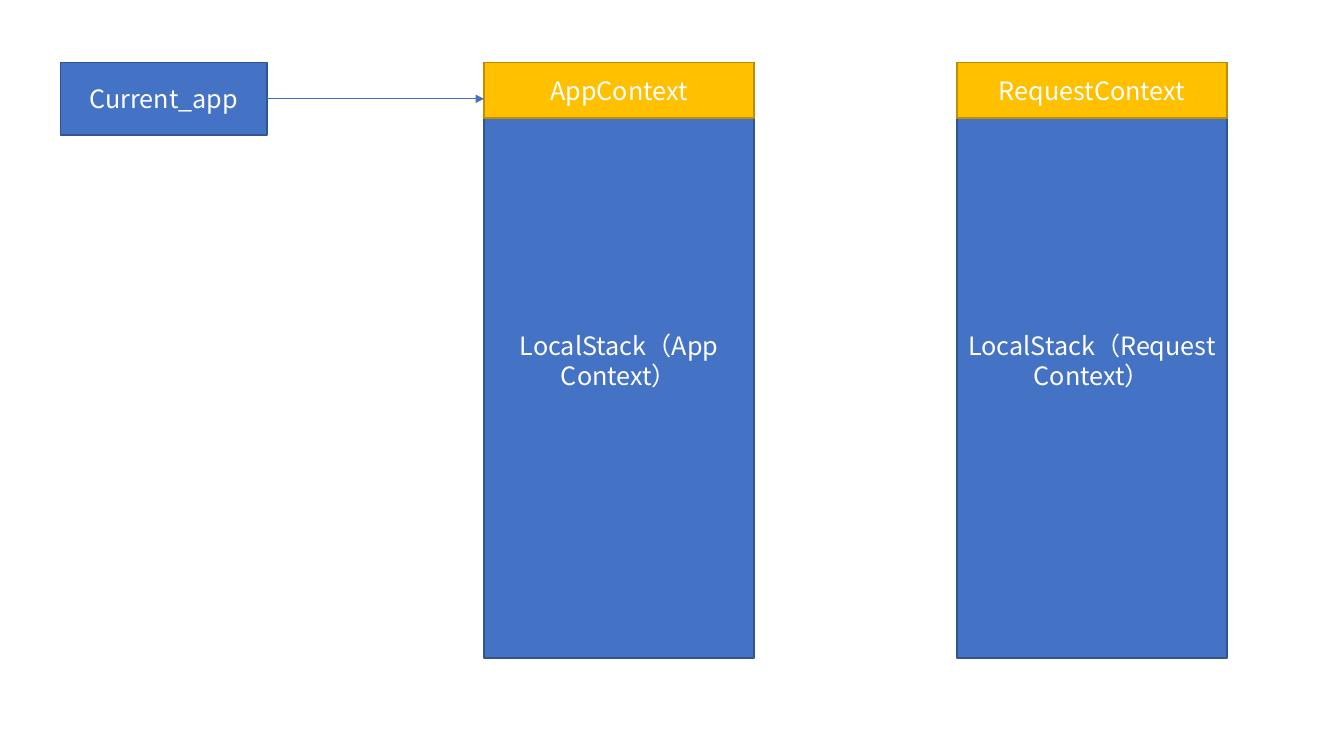
from dataclasses import dataclass

from lxml.etree import SubElement
from pptx import Presentation
from pptx.dml.color import RGBColor
from pptx.enum.shapes import MSO_CONNECTOR, MSO_SHAPE
from pptx.enum.text import MSO_ANCHOR, PP_ALIGN
from pptx.oxml.ns import qn
from pptx.util import Inches, Pt


@dataclass(frozen=True)
class Theme:
    """Colours, type and line widths of the slide."""
    blue: str = "4472C4"
    blue_edge: str = "325491"
    gold: str = "FFC000"
    gold_edge: str = "BD8E00"
    white: str = "FFFFFF"
    font: str = "Noto Sans CJK SC"
    text_size: float = 18
    edge_width: float = 1
    arrow_width: float = 0.5


THEME = Theme()
TOP = 0.62
STACK_WIDTH, STACK_HEIGHT, ENTRY_HEIGHT = 2.68, 5.91, 0.55
STACKS = [(4.8, "App"), (9.49, "Request")]
PROXY_BOX = (0.6, TOP, 2.05, 0.72)


def colour(value):
    """Return the colour for a hexadecimal value."""
    return RGBColor.from_string(value)


def add_label_box(page, box, text, fill, edge):
    """Add a filled rectangle with centred white text."""
    shape = page.shapes.add_shape(MSO_SHAPE.RECTANGLE, *map(Inches, box))
    shape.shadow.inherit = False
    shape.fill.solid()
    shape.fill.fore_color.rgb = colour(fill)
    shape.line.color.rgb = colour(edge)
    shape.line.width = Pt(THEME.edge_width)
    frame = shape.text_frame
    frame.text = text
    frame.word_wrap = True
    frame.vertical_anchor = MSO_ANCHOR.MIDDLE
    para = frame.paragraphs[0]
    para.alignment = PP_ALIGN.CENTER
    for span in para.runs:
        span.font.name = THEME.font
        span.font.size = Pt(THEME.text_size)
        span.font.color.rgb = colour(THEME.white)
        SubElement(span.font._element, qn("a:ea"), typeface=THEME.font)


def add_stack(page, box, name):
    """Add a context stack with its top entry."""
    left, top, width, height = box
    add_label_box(page, box, f"LocalStack（{name} Context）", THEME.blue, THEME.blue_edge)
    add_label_box(page, (left, top, width, ENTRY_HEIGHT), f"{name}Context",
                  THEME.gold, THEME.gold_edge)


def add_proxy(page, box, target_left):
    """Add the proxy box and its arrow to the stack on the right."""
    left, top, width, height = box
    add_label_box(page, box, "Current_app", THEME.blue, THEME.blue_edge)
    middle = Inches(top + height / 2)
    arrow = page.shapes.add_connector(MSO_CONNECTOR.STRAIGHT, Inches(left + width), middle,
                                      Inches(target_left), middle)
    arrow.line.color.rgb = colour(THEME.blue)
    arrow.line.width = Pt(THEME.arrow_width)
    SubElement(arrow.line._get_or_add_ln(), qn("a:tailEnd"), type="triangle")
    SubElement(arrow._element.spPr, qn("a:effectLst"))


def build_context_slide(deck):
    """Build the slide of context stacks."""
    page = deck.slides.add_slide(deck.slide_layouts[6])
    for left, name in STACKS:
        add_stack(page, (left, TOP, STACK_WIDTH, STACK_HEIGHT), name)
    add_proxy(page, PROXY_BOX, STACKS[0][0])


deck = Presentation()
deck.slide_width, deck.slide_height = Inches(13.33), Inches(7.5)
build_context_slide(deck)
deck.save("out.pptx")
